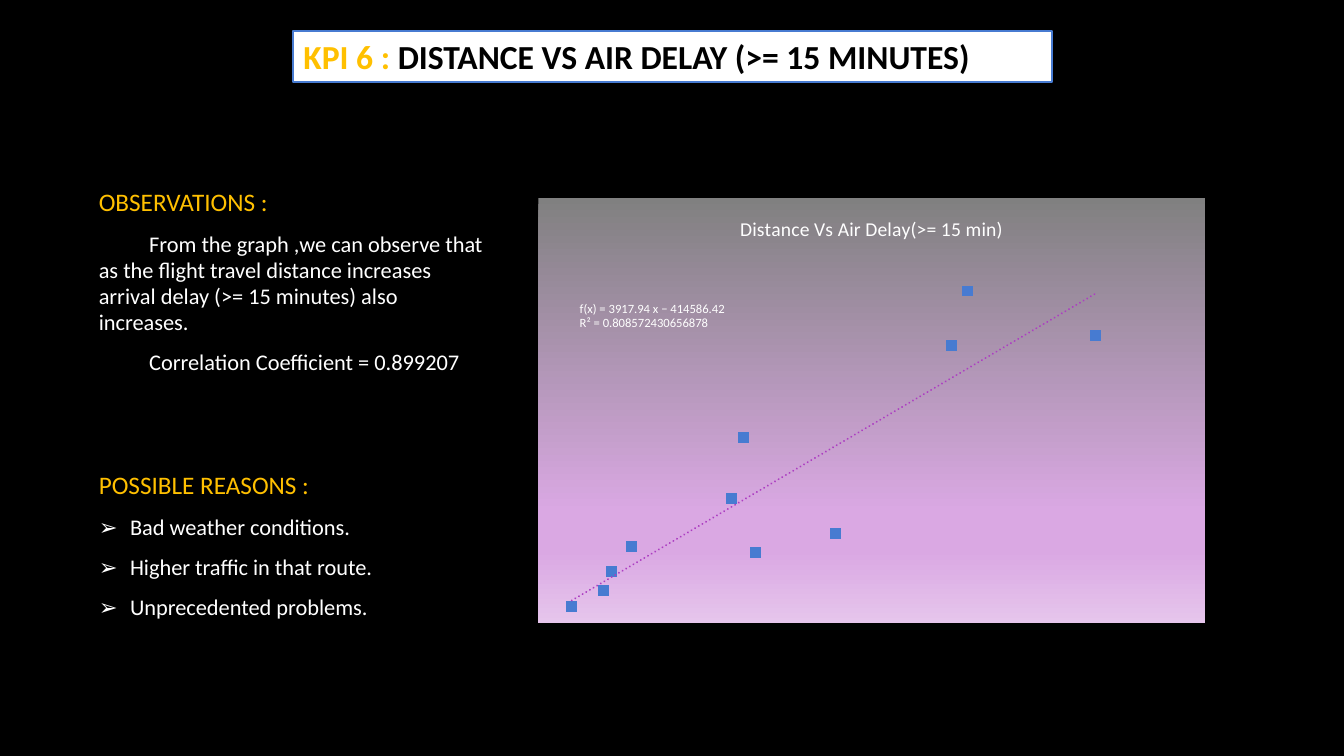
from dataclasses import dataclass

from lxml import etree
from pptx import Presentation
from pptx.chart import data as chart_data
from pptx.dml.color import RGBColor
from pptx.enum import chart as chart_enum, text
from pptx.oxml import ns
from pptx.util import Inches, Pt


@dataclass(frozen=True)
class Theme:
    font: str = "Calibri"
    black: str = "000000"
    white: str = "FFFFFF"
    gold: str = "FFC000"
    blue: str = "477BD1"
    purple: str = "AC3EC1"
    gradient: tuple = ((0, "808080"), (74, "DAA8E3"), (83, "DAA8E3"), (100, "E6C5EC"))
    title_size: int = 24
    heading_size: int = 18
    body_size: int = 16
    chart_title_size: int = 14
    chart_size: int = 10
    equation_size: int = 9


theme = Theme()


def add_run(paragraph, words, size, color, bold=False):
    run = paragraph.add_run()
    run.text = words
    run.font.name = theme.font
    run.font.size = Pt(size)
    run.font.bold = bold
    run.font.color.rgb = RGBColor.from_string(color)


def chart_xml(markup):
    """Parse one chart element with the c: and a: prefixes declared."""
    tag, rest = markup.split(">", 1)
    return etree.fromstring(f"{tag} {ns.nsdecls('c', 'a')}>{rest}")


presentation = Presentation()
presentation.slide_width = Inches(13.33)
presentation.slide_height = Inches(7.5)
slide = presentation.slides.add_slide(presentation.slide_layouts[1])
slide.background.fill.solid()
slide.background.fill.fore_color.rgb = RGBColor.from_string(theme.black)

# Title
title = slide.shapes.title
title.left, title.top, title.width, title.height = map(Inches, (2.91, 0.31, 7.52, 0.5))
title.fill.solid()
title.fill.fore_color.rgb = RGBColor.from_string(theme.white)
title.line.color.rgb = RGBColor.from_string(theme.blue)
title.line.width = Pt(1.5)
title.text_frame.auto_size = text.MSO_AUTO_SIZE.NONE
title.text_frame.vertical_anchor = text.MSO_ANCHOR.BOTTOM
paragraph = title.text_frame.paragraphs[0]
paragraph.alignment = text.PP_ALIGN.LEFT
add_run(paragraph, "KPI 6 : ", theme.title_size, theme.gold, bold=True)
add_run(paragraph, "DISTANCE VS AIR DELAY (>= 15 MINUTES)", theme.title_size, theme.black, bold=True)

# Observations and reasons
styles = {  # size, colour, left margin, first-line indent, bullet
    "heading": (theme.heading_size, theme.gold, 0, 0, None),
    "observation": (theme.body_size, theme.white, 0, 0.5, None),
    "reason": (theme.body_size, theme.white, 0.31, -0.31, "➢"),
}
body_lines = [  # style, space before in points, words
    ("heading", 0, "OBSERVATIONS :"),
    ("observation", 0, "From the graph ,we can observe that as the flight travel distance "
                       "increases arrival delay (>= 15 minutes) also increases."),
    ("observation", 0, "Correlation Coefficient = 0.899207"),
    ("heading", 58, "POSSIBLE REASONS :"),
    ("reason", 0, "Bad weather conditions."),
    ("reason", 0, "Higher traffic in that route."),
    ("reason", 0, "Unprecedented problems."),
]
body = slide.placeholders[1]
body.left, body.top, body.width, body.height = map(Inches, (0.88, 1.82, 4.09, 4.5))
frame = body.text_frame
frame.auto_size = text.MSO_AUTO_SIZE.NONE
for number, (style, space_before, words) in enumerate(body_lines):
    size, color, margin, indent, bullet = styles[style]
    paragraph = frame.add_paragraph() if number else frame.paragraphs[0]
    paragraph.line_spacing = 0.97
    paragraph.space_before = Pt(space_before)
    paragraph.space_after = Pt(10)
    properties = paragraph._p.get_or_add_pPr()
    properties.set("marL", str(Inches(margin)))
    properties.set("indent", str(Inches(indent)))
    if bullet:
        bullet_color = etree.SubElement(properties, ns.qn("a:buClr"))
        etree.SubElement(bullet_color, ns.qn("a:srgbClr"), val=color)
        etree.SubElement(properties, ns.qn("a:buChar"), char=bullet)
    else:
        etree.SubElement(properties, ns.qn("a:buNone"))
    add_run(paragraph, words, size, color)

# Scatter chart of delay against distance
points = [(13600, 86), (500, 1), (10000, 83), (10400, 100), (2000, 20), (4800, 54),
          (7100, 24), (5100, 18), (4500, 35), (1500, 12), (1300, 6)]
delays = chart_data.XyChartData()
delay_series = delays.add_series("Series 1")
for distance, delay in points:
    delay_series.add_data_point(distance, delay)
chart = slide.shapes.add_chart(
    chart_enum.XL_CHART_TYPE.XY_SCATTER,
    *map(Inches, (5.34, 1.96, 6.61, 4.22)), delays).chart
chart.has_legend = False
chart.font.name = theme.font
chart.font.size = Pt(theme.chart_size)
chart.font.color.rgb = RGBColor.from_string(theme.white)
chart.has_title = True
add_run(chart.chart_title.text_frame.paragraphs[0], "Distance Vs Air Delay(>= 15 min)",
        theme.chart_title_size, theme.white)
chart.chart_title.include_in_layout = False
chart.plots[0].vary_by_categories = False

for axis, maximum in ((chart.category_axis, 16000), (chart.value_axis, 112)):
    axis.minimum_scale = 0
    axis.maximum_scale = maximum
    axis.has_major_gridlines = False
    axis.visible = False

series = chart.plots[0].series[0]
series.smooth = False
series.format.line.fill.background()
series.marker.style = chart_enum.XL_MARKER_STYLE.SQUARE
series.marker.size = 7
series.marker.format.fill.solid()
series.marker.format.fill.fore_color.rgb = RGBColor.from_string(theme.blue)
series.marker.format.line.color.rgb = RGBColor.from_string(theme.blue)

series._element.find(ns.qn("c:xVal")).addprevious(chart_xml(
    f'<c:trendline><c:spPr><a:ln w="{Pt(1.5)}" cap="rnd"><a:solidFill>'
    f'<a:srgbClr val="{theme.purple}"/></a:solidFill><a:prstDash val="sysDot"/></a:ln></c:spPr>'
    '<c:trendlineType val="linear"/><c:dispRSqr val="0"/><c:dispEq val="0"/></c:trendline>'))

chart_space = chart._chartSpace
stops = "".join(f'<a:gs pos="{position * 1000}"><a:srgbClr val="{color}"/></a:gs>'
                for position, color in theme.gradient)
chart_space.find(ns.qn("c:chart")).addnext(chart_xml(
    f'<c:spPr><a:gradFill><a:gsLst>{stops}</a:gsLst><a:lin ang="5400000" scaled="0"/>'
    '</a:gradFill><a:ln><a:noFill/></a:ln></c:spPr>'))

plot_area = chart_space.find(".//" + ns.qn("c:plotArea"))
for layout in plot_area.findall(ns.qn("c:layout")):
    plot_area.remove(layout)
edges = "".join(f'<c:{name} val="{share}"/>' for name, share in (
    ("x", 0.02), ("y", 0.13), ("w", 0.96), ("h", 0.84)))
plot_area.insert(0, chart_xml(
    '<c:layout><c:manualLayout><c:layoutTarget val="inner"/>'
    f'<c:xMode val="edge"/><c:yMode val="edge"/>{edges}</c:manualLayout></c:layout>'))

# Trend equation
equation = slide.shapes.add_textbox(*map(Inches, (5.75, 3, 1.7, 0.3))).text_frame
equation.word_wrap = True
equation.margin_left = equation.margin_right = equation.margin_top = equation.margin_bottom = 0
for number, words in enumerate(("f(x) = 3917.94 x − 414586.42", "R² = 0.808572430656878")):
    paragraph = equation.add_paragraph() if number else equation.paragraphs[0]
    paragraph.line_spacing = 0.92
    add_run(paragraph, words, theme.equation_size, theme.white)

presentation.save("out.pptx")
